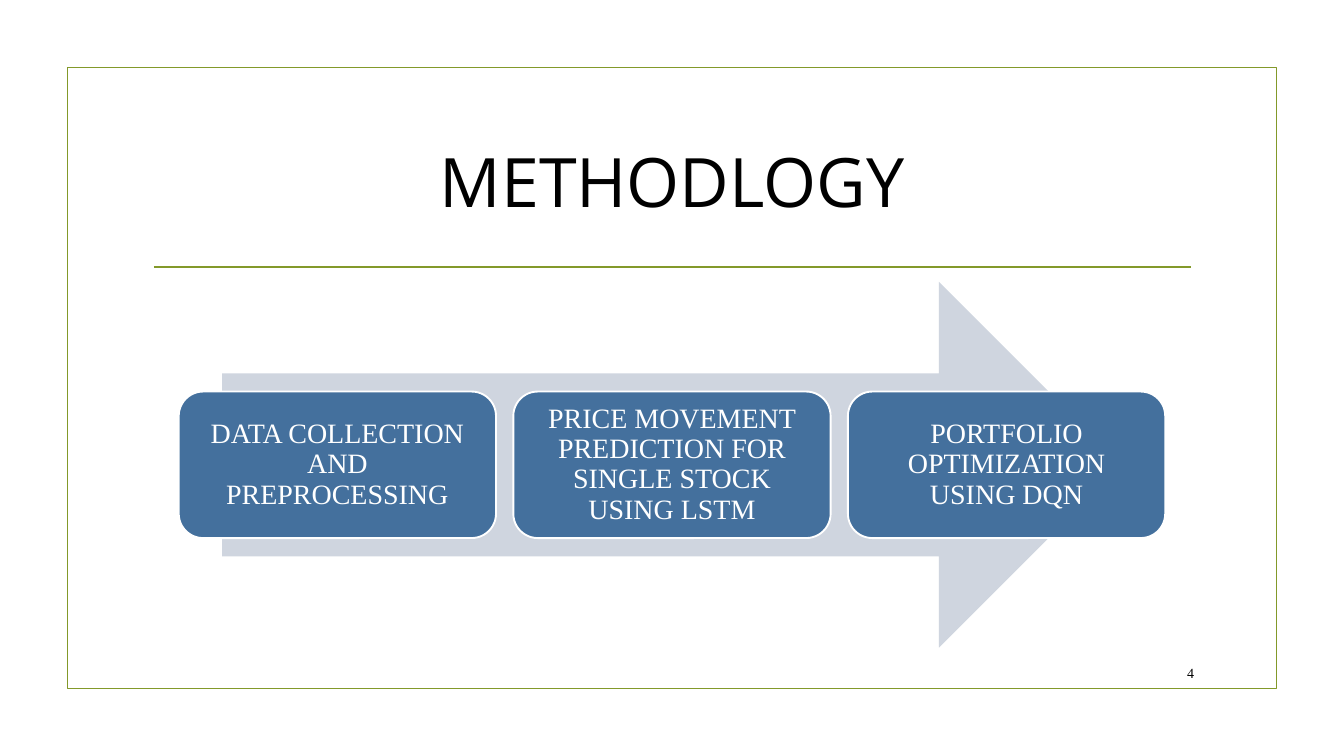
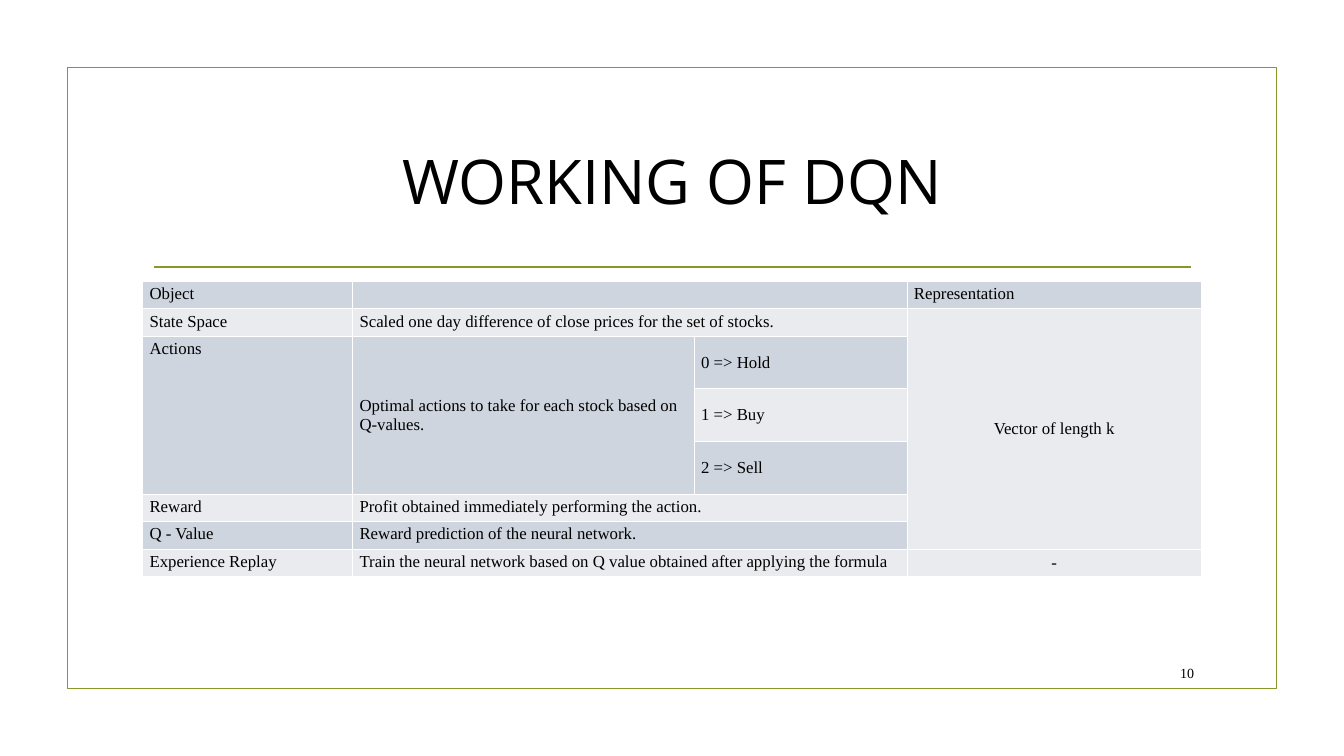
from lxml import etree
from pptx import Presentation
from pptx.dml.color import RGBColor
from pptx.enum import shapes, text
from pptx.oxml import ns
from pptx.util import Pt

COLORS = {"olive": "83992A", "blue": "44709D", "band_dark": "CFD5DF",
          "band_light": "E9EBEF", "white": "FFFFFF", "black": "000000"}
TITLE_FONT, BODY_FONT = "Open Sans", "Times New Roman"
LEFT, CENTER, RIGHT = text.PP_ALIGN.LEFT, text.PP_ALIGN.CENTER, text.PP_ALIGN.RIGHT
TOP, MIDDLE = text.MSO_ANCHOR.TOP, text.MSO_ANCHOR.MIDDLE

STEPS = ["DATA COLLECTION AND PREPROCESSING",
         "PRICE MOVEMENT PREDICTION FOR SINGLE STOCK USING LSTM",
         "PORTFOLIO OPTIMIZATION USING DQN"]

DQN_ROWS = [
    ("Object", "", "", "Representation"),
    ("State Space", "Scaled one day difference of close prices for the set of stocks.",
     "", "Vector of length k"),
    ("Actions", "Optimal actions to take for each stock based on Q-values.", "0 => Hold", ""),
    ("", "", "1 => Buy", ""),
    ("", "", "2 => Sell", ""),
    ("Reward", "Profit obtained immediately performing the action.", "", ""),
    ("Q - Value", "Reward prediction of the neural network.", "", ""),
    ("Experience Replay",
     "Train the neural network based on Q value obtained after applying the formula", "", "-"),
]
COL_WIDTHS = [225, 366, 228, 315]
ACTION_ROWS = range(2, 5)
# Merged areas as first cell and last cell
MERGES = [((r, 1), (r, 2)) for r in range(len(DQN_ROWS)) if r not in ACTION_ROWS]
MERGES += [((2, 0), (4, 0)), ((2, 1), (4, 1)), ((1, 3), (6, 3))]


def rgb(name):
    return RGBColor.from_string(COLORS[name])


def write(tf, content, size=18, font=BODY_FONT, color="black", align=LEFT, spacing=None):
    p = tf.paragraphs[0]
    p.alignment = align
    p.line_spacing = spacing
    r = p.add_run()
    r.text = content
    r.font.size, r.font.name = Pt(size), font
    r.font.color.rgb = rgb(color)


def add_text(s, box, content, **fmt):
    tf = s.shapes.add_textbox(*map(Pt, box)).text_frame
    tf.word_wrap, tf.vertical_anchor = True, MIDDLE
    write(tf, content, **fmt)


def add_shape(s, kind, box, fill=None, line=None, width=1.25):
    sp = s.shapes.add_shape(kind, *map(Pt, box))
    sp.shadow.inherit = False
    if fill:
        sp.fill.solid()
        sp.fill.fore_color.rgb = rgb(fill)
    else:
        sp.fill.background()
    if line:
        sp.line.color.rgb, sp.line.width = rgb(line), Pt(width)
    else:
        sp.line.fill.background()
    return sp


def add_slide(prs, title, title_size, number):
    """Add a slide with the shared frame, title, rule and page number."""
    s = prs.slides.add_slide(prs.slide_layouts[6])
    add_shape(s, shapes.MSO_SHAPE.RECTANGLE, (72, 72, 1296, 666), line="olive")
    rule = s.shapes.add_connector(shapes.MSO_CONNECTOR.STRAIGHT,
                                  *map(Pt, (165, 286, 1276, 286)))
    rule.line.color.rgb, rule.line.width = rgb("olive"), Pt(1.25)
    etree.SubElement(rule._element.spPr, ns.qn("a:effectLst"))
    add_text(s, (153, 116, 1134, 154), title, size=title_size, font=TITLE_FONT, align=CENTER)
    add_text(s, (1222.5, 705, 64, 33), str(number), size=15, align=RIGHT)
    return s


def add_steps(s):
    add_shape(s, shapes.MSO_SHAPE.RIGHT_ARROW, (238, 302, 964, 392), fill="band_dark")
    left, width, gap = 191.5, 340, 18.5
    for i, step in enumerate(STEPS):
        sp = add_shape(s, shapes.MSO_SHAPE.ROUNDED_RECTANGLE,
                       (left + i * (width + gap), 419.5, width, 157),
                       fill="blue", line="white", width=2)
        tf = sp.text_frame
        tf.word_wrap, tf.vertical_anchor = True, MIDDLE
        tf.margin_left = tf.margin_right = tf.margin_top = tf.margin_bottom = Pt(8.5)
        write(tf, step, size=30, color="white", align=CENTER, spacing=0.9)


def add_borders(cell):
    tc_pr = cell._tc.get_or_add_tcPr()
    for i, side in enumerate(("a:lnL", "a:lnR", "a:lnT", "a:lnB")):
        ln = etree.Element(ns.qn(side), w=str(Pt(1)))
        fill = etree.SubElement(ln, ns.qn("a:solidFill"))
        etree.SubElement(fill, ns.qn("a:srgbClr"), val=COLORS["white"])
        tc_pr.insert(i, ln)


def add_dqn_table(s):
    heights = [56.5 if r in ACTION_ROWS else 29.3 for r in range(len(DQN_ROWS))]
    table = s.shapes.add_table(len(heights), len(COL_WIDTHS), Pt(153), Pt(301.5),
                               Pt(sum(COL_WIDTHS)), Pt(sum(heights))).table
    for column, width in zip(table.columns, COL_WIDTHS):
        column.width = Pt(width)
    for r, row in enumerate(DQN_ROWS):
        table.rows[r].height = Pt(heights[r])
        for c, content in enumerate(row):
            cell = table.cell(r, c)
            cell.fill.solid()
            cell.fill.fore_color.rgb = rgb("band_light" if r % 2 else "band_dark")
            add_borders(cell)
            in_vector_column = c == 3 and r > 0
            is_action = c > 0 and r in ACTION_ROWS
            cell.vertical_anchor = MIDDLE if in_vector_column or is_action else TOP
            if content:
                write(cell.text_frame, content, align=CENTER if in_vector_column else LEFT)
    for first, last in MERGES:
        table.cell(*first).merge(table.cell(*last))


def main():
    prs = Presentation()
    prs.slide_width, prs.slide_height = Pt(1440), Pt(810)
    add_steps(add_slide(prs, "METHODLOGY", 73, 4))
    add_dqn_table(add_slide(prs, "WORKING OF DQN", 66, 10))
    prs.save("out.pptx")


if __name__ == "__main__":
    main()
